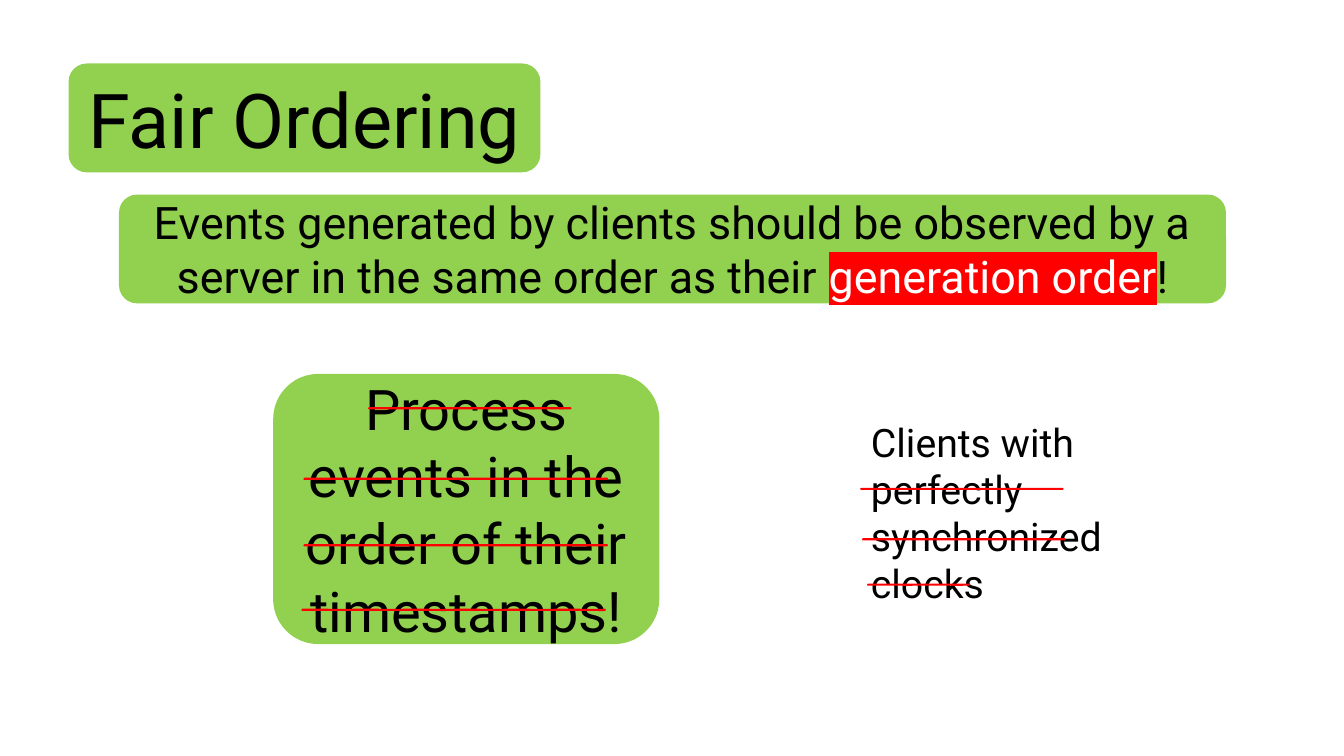
from dataclasses import dataclass

from lxml.etree import SubElement
from pptx import Presentation
from pptx.dml.color import RGBColor
from pptx.enum.shapes import MSO_SHAPE
from pptx.enum.text import MSO_ANCHOR, MSO_AUTO_SIZE, PP_ALIGN
from pptx.oxml import parse_xml
from pptx.oxml.ns import nsdecls, qn
from pptx.util import Inches, Pt


@dataclass(frozen=True)
class Theme:
    font: str = "Roboto"
    black: str = "000000"
    white: str = "FFFFFF"
    green: str = "92D050"
    red: str = "FF0000"
    title: int = 54
    heading: int = 40
    statement: int = 32
    body: int = 28
    stroke: float = 1.5


THEME = Theme()
UNITS_PER_INCH = 1000
STRIKE_HEIGHT = 0.05
WAVE_LENGTH = 0.6
OUTLINE_SWING = 0.07
BODY_SWING = -0.04


def add_span(para, text, *, size, color=THEME.black, highlight=None):
    span = para.add_run()
    span.text = text
    span.font.name = THEME.font
    span.font.size = Pt(size)
    span.font.color.rgb = RGBColor.from_string(color)
    if highlight:
        mark = parse_xml(
            f'<a:highlight {nsdecls("a")}><a:srgbClr val="{highlight}"/></a:highlight>'
        )
        span._r.get_or_add_rPr().find(qn("a:solidFill")).addnext(mark)


def wavy_edge(start, end, y, swing, waves):
    step = (end - start) / waves
    for wave in range(waves):
        x = start + wave * step
        yield (x + step / 3, y - swing), (x + 2 * step / 3, y + swing), (x + step, y)


def straight_edge(x, start, end):
    rise = (end - start) / 3
    yield (x, start + rise), (x, end - rise), (x, end)


def wavy_band(width, swing):
    waves = round(width / WAVE_LENGTH)
    yield from wavy_edge(0, width, 0, swing, waves)
    yield from straight_edge(width, 0, STRIKE_HEIGHT)
    yield from wavy_edge(width, 0, STRIKE_HEIGHT, -swing, waves)
    yield from straight_edge(0, STRIKE_HEIGHT, 0)


def to_units(length):
    return str(round(length * UNITS_PER_INCH))


def add_point(parent, x, y):
    SubElement(parent, qn("a:pt"), x=to_units(x), y=to_units(y))


def add_band(path_list, width, swing, **drawing):
    band = SubElement(
        path_list, qn("a:path"), w=to_units(width), h=to_units(STRIKE_HEIGHT), **drawing
    )
    add_point(SubElement(band, qn("a:moveTo")), 0, 0)
    for points in wavy_band(width, swing):
        curve = SubElement(band, qn("a:cubicBezTo"))
        for x, y in points:
            add_point(curve, x, y)
    SubElement(band, qn("a:close"))


class SlideBuilder:
    def __init__(self, slide, theme):
        self.shapes = slide.shapes
        self.theme = theme

    def fill(self, shape, color):
        shape.shadow.inherit = False
        shape.fill.solid()
        shape.fill.fore_color.rgb = RGBColor.from_string(color)

    def panel(self, left, top, width, height, size, *spans):
        box = self.shapes.add_shape(
            MSO_SHAPE.ROUNDED_RECTANGLE,
            Inches(left), Inches(top), Inches(width), Inches(height),
        )
        self.fill(box, self.theme.green)
        box.line.fill.background()
        box.text_frame.word_wrap = True
        box.text_frame.vertical_anchor = MSO_ANCHOR.MIDDLE
        para = box.text_frame.paragraphs[0]
        para.alignment = PP_ALIGN.CENTER
        for text, style in spans:
            add_span(para, text, size=size, **style)

    def label(self, left, top, width, height, text):
        box = self.shapes.add_textbox(
            Inches(left), Inches(top), Inches(width), Inches(height)
        )
        box.text_frame.word_wrap = True
        box.text_frame.auto_size = MSO_AUTO_SIZE.SHAPE_TO_FIT_TEXT
        add_span(box.text_frame.paragraphs[0], text, size=self.theme.body)

    def strike(self, left, top, width):
        builder = self.shapes.build_freeform(scale=Inches(1))
        builder.add_line_segments(
            [(width, 0), (width, STRIKE_HEIGHT), (0, STRIKE_HEIGHT)]
        )
        mark = builder.convert_to_shape(Inches(left), Inches(top))
        self.fill(mark, self.theme.red)
        mark.line.color.rgb = RGBColor.from_string(self.theme.red)
        mark.line.width = Pt(self.theme.stroke)
        path_list = next(mark.element.iter(qn("a:pathLst")))
        path_list.clear()
        add_band(path_list, width, OUTLINE_SWING, fill="none")
        add_band(path_list, width, BODY_SWING, stroke="0")

    def strikes(self, *lines):
        for left, top, width in lines:
            self.strike(left, top, width)


def main():
    deck = Presentation()
    deck.slide_width = Inches(13.33)
    deck.slide_height = Inches(7.5)
    page = SlideBuilder(deck.slides.add_slide(deck.slide_layouts[6]), THEME)

    page.panel(0.68, 0.63, 4.68, 1.08, THEME.title, ("Fair Ordering", {}))
    page.panel(
        1.18, 1.93, 10.98, 1.08, THEME.statement,
        ("Events generated by clients should be observed by a server "
         "in the same order as their ", {}),
        ("generation order", {"color": THEME.white, "highlight": THEME.red}),
        ("!", {}),
    )

    page.label(8.54, 4.1, 2.49, 1.99, "Clients with perfectly synchronized clocks")
    page.strikes((8.54, 4.85, 1.95), (8.56, 5.35, 2.49), (8.61, 5.8, 1.24))

    page.panel(
        2.71, 3.71, 3.83, 2.68, THEME.heading,
        ("Process events in the order of their timestamps!", {}),
    )
    page.strikes(
        (3.66, 4.05, 1.95), (3.02, 4.75, 3.36), (3.02, 5.41, 3.36), (3, 6.05, 3.36)
    )

    deck.save("out.pptx")


if __name__ == "__main__":
    main()
